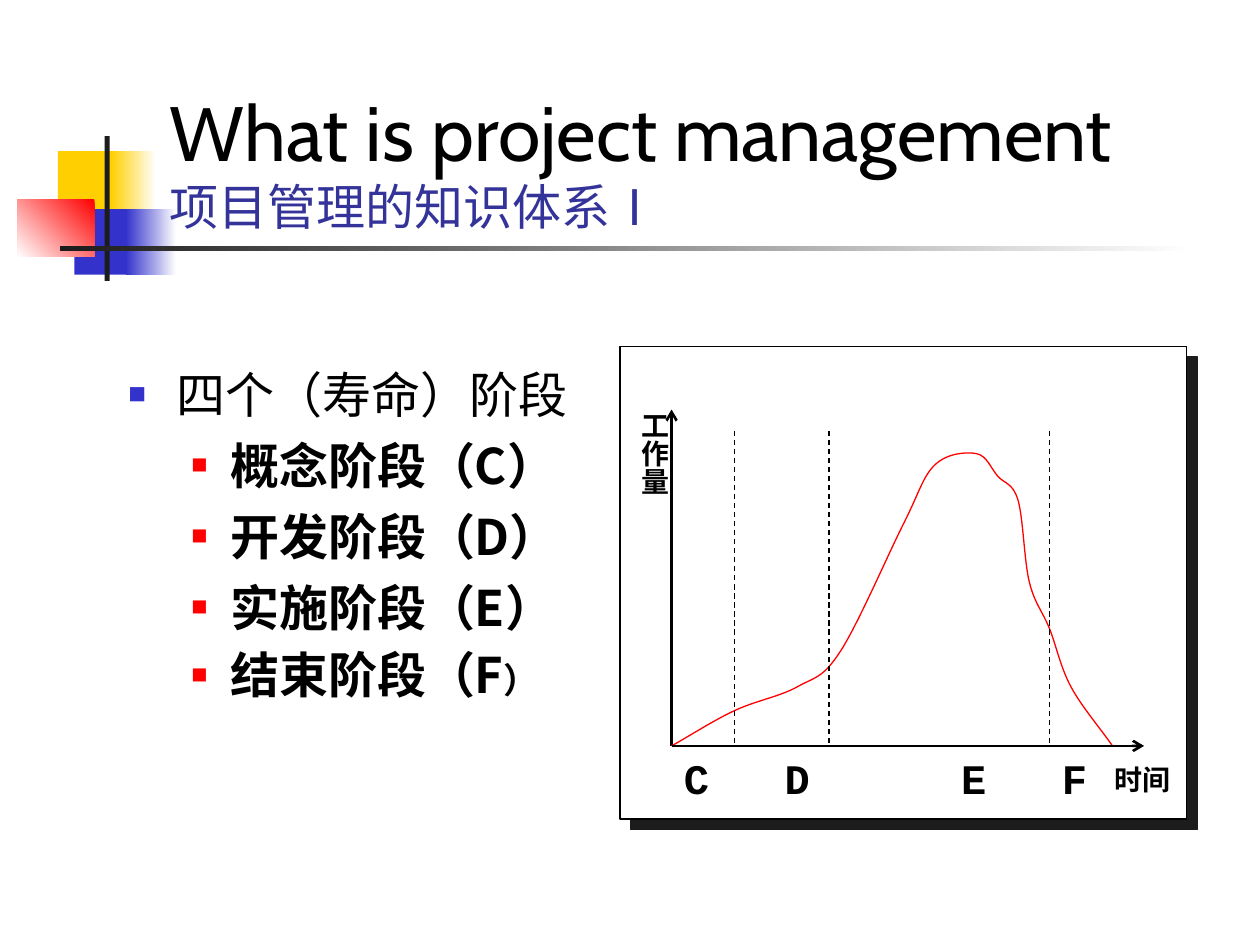
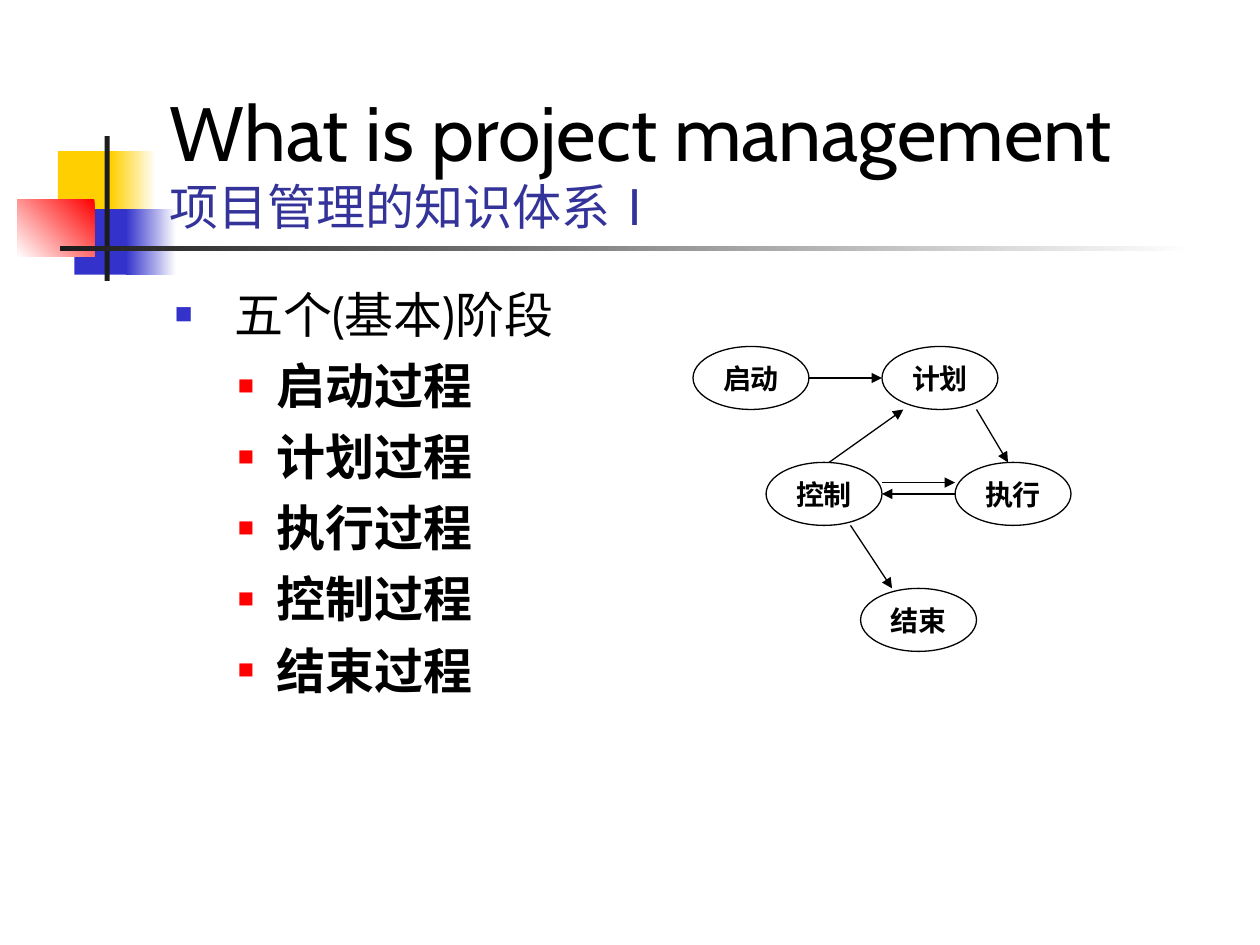
from lxml import etree
from pptx import Presentation
from pptx.dml.color import RGBColor
from pptx.enum.dml import MSO_LINE
from pptx.enum.shapes import MSO_CONNECTOR, MSO_SHAPE
from pptx.enum.text import MSO_ANCHOR, MSO_AUTO_SIZE, PP_ALIGN
from pptx.oxml.ns import qn
from pptx.util import Inches, Pt

RECTANGLE, ELLIPSE = MSO_SHAPE.RECTANGLE, MSO_SHAPE.OVAL
STRAIGHT, DASH = MSO_CONNECTOR.STRAIGHT, MSO_LINE.DASH
TOP, MIDDLE, BOTTOM = MSO_ANCHOR.TOP, MSO_ANCHOR.MIDDLE, MSO_ANCHOR.BOTTOM
CENTER, GROW = PP_ALIGN.CENTER, MSO_AUTO_SIZE.SHAPE_TO_FIT_TEXT

BLACK, WHITE, INK = "000000", "FFFFFF", "1C1C1C"
YELLOW, BLUE, RED, NAVY = "FFCF01", "3333CC", "FF0000", "333399"
CABIN, SANS, SERIF, MONO = "Cabin", "Noto Sans CJK SC", "Times New Roman", "Courier New"


def color(code):
    return RGBColor.from_string(code)


def add_xml(parent, tag, **attributes):
    return etree.SubElement(parent, qn(tag), attributes)


def write(para, text, size=16, font=SERIF, ink=BLACK, bold=False):
    span = para.add_run()
    span.text = text
    span.font.size = Pt(size)
    span.font.name = font
    span.font.bold = bold
    span.font.color.rgb = color(ink)
    add_xml(span.font._element, "a:ea", typeface=SANS)
    return span


def curve_controls(knots):
    def mirror(end, inner):
        return tuple(2 * e - i for e, i in zip(end, inner))

    padded = [mirror(knots[0], knots[1]), *knots, mirror(knots[-1], knots[-2])]
    points = []
    for before, start, end, after in zip(padded, padded[1:], padded[2:], padded[3:]):
        leaving = tuple(s + (e - b) / 6 for b, s, e in zip(before, start, end))
        arriving = tuple(e - (a - s) / 6 for s, e, a in zip(start, end, after))
        points += [leaving, arriving, end]
    return points


class Deck:
    def __init__(self):
        self.file = Presentation()
        self.file.slide_width, self.file.slide_height = Inches(10), Inches(7.5)
        self.page = None

    def add_page(self):
        self.page = self.file.slides.add_slide(self.file.slide_layouts[6])
        self.block(0.46, 1.2, 0.48, 0.52, YELLOW)
        self.block(0.88, 1.2, 0.36, 0.52, (WHITE, YELLOW))
        self.block(0.59, 1.66, 0.46, 0.52, BLUE)
        self.block(1, 1.66, 0.4, 0.52, (WHITE, BLUE))
        self.block(0.14, 1.58, 0.61, 0.46, (RED, WHITE), angle=225)
        self.block(0.83, 1.08, 0.04, 1.15, INK)
        self.block(0.48, 1.95, 9, 0.04, (WHITE, INK))
        para = self.text_box(1.25, 0.67, 8.52, 1.25, anchor=BOTTOM).paragraphs[0]
        write(para, "What is project management", size=44, font=CABIN)
        para.add_line_break()
        write(para, "项目管理的知识体系Ⅰ", size=28, font=CABIN, ink=NAVY)

    def block(self, left, top, width, height, fill=None, angle=180, line=None, kind=RECTANGLE):
        shape = self.page.shapes.add_shape(
            kind, Inches(left), Inches(top), Inches(width), Inches(height))
        shape.shadow.inherit = False
        if fill is None:
            shape.fill.background()
        elif isinstance(fill, tuple):
            shape.fill.gradient()
            shape.fill.gradient_angle = angle
            for stop, code in zip(shape.fill.gradient_stops, fill):
                stop.color.rgb = color(code)
        else:
            shape.fill.solid()
            shape.fill.fore_color.rgb = color(fill)
        if line:
            shape.line.color.rgb = color(line)
            shape.line.width = Pt(0.75)
        else:
            shape.line.fill.background()
        return shape

    def text_box(self, left, top, width, height, anchor=TOP):
        box = self.page.shapes.add_textbox(
            Inches(left), Inches(top), Inches(width), Inches(height))
        frame = box.text_frame
        frame.word_wrap = True
        frame.vertical_anchor = anchor
        return frame

    def label(self, text, left, top, width, height, **style):
        frame = self.text_box(left, top, width, height)
        frame.auto_size = GROW
        write(frame.paragraphs[0], text, bold=True, **style)
        return frame

    def bullet(self, para, ink, percent, margin, hanging):
        props = para._p.get_or_add_pPr()
        props.set("marL", str(Inches(margin)))
        props.set("indent", str(-Inches(hanging)))
        add_xml(add_xml(props, "a:buClr"), "a:srgbClr", val=ink)
        add_xml(props, "a:buSzPct", val=str(percent * 1000))
        add_xml(props, "a:buFont", typeface=SERIF)
        add_xml(props, "a:buChar", char="■")

    def outline(self, heading, items, left, top, height, margin=0.38):
        frame = self.text_box(left, top, 4.17, height)
        para = frame.paragraphs[0]
        self.bullet(para, BLUE, 60, margin, margin)
        write(para, heading, size=28, font=CABIN)
        for item in items:
            para = frame.add_paragraph()
            self.bullet(para, RED, 55, 0.81, 0.31)
            para.space_before = Pt(7)
            write(para, item, size=28, font=SANS, bold=True)
        return frame

    def line(self, start, end, width=0.75, dash=None, arrow=None):
        connector = self.page.shapes.add_connector(
            STRAIGHT, *(Inches(value) for value in (*start, *end)))
        connector.line.color.rgb = color(BLACK)
        connector.line.width = Pt(width)
        if dash:
            connector.line.dash_style = dash
        if arrow:
            add_xml(connector.line._get_or_add_ln(), "a:tailEnd", type=arrow)
        add_xml(connector._element.spPr, "a:effectLst")

    def curve(self, knots, ink):
        builder = self.page.shapes.build_freeform(*map(Inches, knots[0]))
        builder.add_line_segments(
            [(Inches(x), Inches(y)) for x, y in curve_controls(knots)], close=False)
        shape = builder.convert_to_shape()
        outline = next(shape._element.iter(qn("a:path")))
        segments = outline.findall(qn("a:lnTo"))
        for first in range(0, len(segments), 3):
            bend = add_xml(outline, "a:cubicBezTo")
            for segment in segments[first:first + 3]:
                bend.append(segment[0])
                outline.remove(segment)
        shape.shadow.inherit = False
        shape.fill.solid()
        shape.fill.fore_color.rgb = color(WHITE)
        shape.line.color.rgb = color(ink)
        shape.line.width = Pt(0.75)

    def node(self, text, left, top):
        shape = self.block(left, top, 0.92, 0.5, line=BLACK, kind=ELLIPSE)
        frame = shape.text_frame
        frame.word_wrap = False
        frame.vertical_anchor = MIDDLE
        frame.paragraphs[0].alignment = CENTER
        write(frame.paragraphs[0], text, bold=True)


def build_life_cycle(deck):
    deck.add_page()
    phases = ["概念阶段（C）", "开发阶段（D）", "实施阶段（E）", "结束阶段（F"]
    frame = deck.outline("四个（寿命）阶段", phases, 0.92, 2.84, 3.58)
    last = frame.paragraphs[-1]
    last.space_before = Pt(5)
    write(last, "）", size=20, font=SANS, bold=True)

    panel = deck.block(4.92, 2.75, 4.5, 3.75, WHITE, line=BLACK)
    effects = panel._element.spPr.find(qn("a:effectLst"))
    shadow = add_xml(effects, "a:outerShdw", dist=str(Pt(8.5)), dir="2700000",
                     algn="ctr", rotWithShape="0")
    add_xml(shadow, "a:srgbClr", val=INK)

    origin = (5.33, 5.92)
    deck.line(origin, (5.33, 3.25), width=1.5, arrow="arrow")
    effort = deck.label("工作量", 4.92, 3.17, 0.46, 1.33)
    effort._txBody.bodyPr.set("vert", "eaVert")
    effort.margin_left = effort.margin_right = Inches(0.05)
    effort.margin_top = effort.margin_bottom = Inches(0.1)
    deck.label("时间", 8.75, 6, 0.75, 0.37)
    deck.curve([origin, (5.83, 5.64), (6.33, 5.45), (6.67, 5.17), (7.17, 4.16),
                (7.42, 3.69), (7.75, 3.6), (7.92, 3.78), (8.08, 3.97), (8.17, 4.62),
                (8.33, 4.99), (8.5, 5.45), (8.83, 5.92)], RED)
    for x in (5.83, 6.58, 8.33):
        deck.line((x, 3.42), (x, 5.92), dash=DASH)
    letters = deck.label("C\tD\tE\tF", 5.33, 5.92, 3.5, 0.5, size=24, font=MONO)
    tabs = add_xml(letters.paragraphs[0]._p.get_or_add_pPr(), "a:tabLst")
    for stop in (0.8, 2.2, 3):
        add_xml(tabs, "a:tab", pos=str(Inches(stop)), algn="l")
    deck.line(origin, (9.08, 5.92), width=1.5, arrow="arrow")


def build_processes(deck):
    deck.add_page()
    nodes = {"启动": (5.5, 2.75), "计划": (7, 2.75), "执行": (7.58, 3.67),
             "控制": (6.08, 3.67), "结束": (6.83, 4.67)}
    deck.outline("五个(基本)阶段", [name + "过程" for name in nodes],
                 1.29, 2.21, 4.5, margin=0.47)
    for name, place in nodes.items():
        deck.node(name, *place)
    for start, end in [((6.42, 3), (7, 3)), ((7.75, 3.25), (8, 3.67)),
                       ((7, 3.83), (7.58, 3.83)), ((7.58, 3.92), (7, 3.92)),
                       ((6.75, 4.17), (7.08, 4.67)), ((6.58, 3.67), (7.17, 3.25))]:
        deck.line(start, end, arrow="triangle")


def main():
    deck = Deck()
    build_life_cycle(deck)
    build_processes(deck)
    deck.file.save("out.pptx")


if __name__ == "__main__":
    main()
